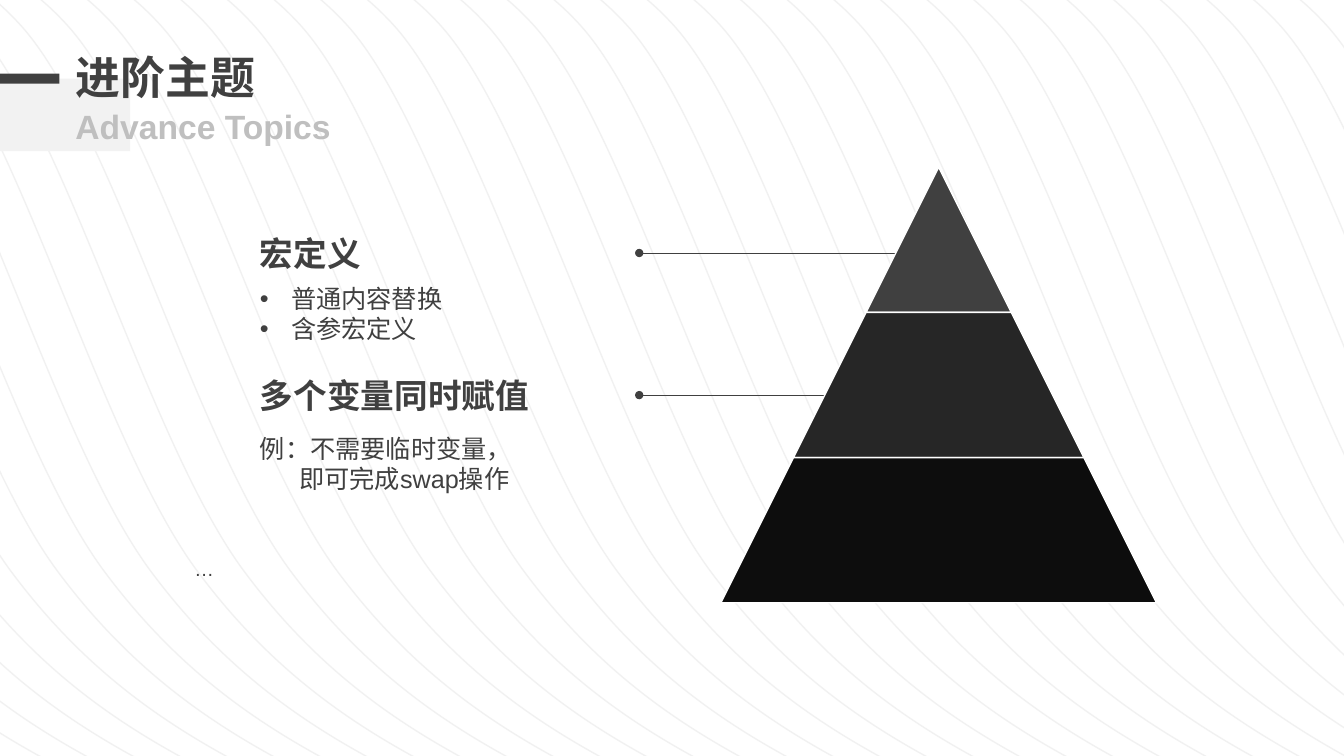
from lxml.etree import SubElement
from pptx import Presentation
from pptx.dml.color import RGBColor
from pptx.enum.shapes import MSO_CONNECTOR, MSO_SHAPE
from pptx.enum.text import MSO_ANCHOR, MSO_AUTO_SIZE, PP_ALIGN
from pptx.oxml.ns import qn
from pptx.util import Inches, Pt

WHITE = RGBColor(0xFF, 0xFF, 0xFF)
DARK = RGBColor(0x40, 0x40, 0x40)
TIER_COLORS = [DARK, RGBColor(0x26, 0x26, 0x26), RGBColor(0x0D, 0x0D, 0x0D)]
PALE = RGBColor(0xF2, 0xF2, 0xF2)
SUBTITLE_GRAY = RGBColor(0xBF, 0xBF, 0xBF)
WAVE_GRAY = RGBColor(0xD9, 0xD9, 0xD9)
FONT = "Arial"

WAVE_COUNT = 40
WAVE_FIRST, WAVE_LAST = -7.2, 10.84
WAVE_CONTROLS = [
    (0, -0.27),
    (0.93, -0.51), (1.86, -0.75), (2.77, 0.24),
    (3.68, 1.23), (4.5, 4.38), (5.46, 5.67),
    (6.42, 6.96), (7.48, 7.47), (8.54, 7.98),
]
APEX_X, APEX_Y = 9.31, 1.66
TIER_HEIGHT, TIER_SPREAD = 1.44, 0.72


def add_outline(shapes, points, closed):
    corners = [(Inches(x), Inches(y)) for x, y in points]
    builder = shapes.build_freeform(*corners[0])
    builder.add_line_segments(corners[1:], close=closed)
    outline = builder.convert_to_shape()
    outline.shadow.inherit = False
    outline.line.width = Pt(1)
    return outline


def bend(outline):
    segments = list(outline.element.iter(qn("a:lnTo")))
    for start in range(0, len(segments), 3):
        first, *others = segments[start:start + 3]
        curve = SubElement(first.getparent(), qn("a:cubicBezTo"))
        for segment in (first, *others):
            curve.append(segment[0])
            segment.getparent().remove(segment)


def add_waves(slide):
    waves = slide.shapes.add_group_shape()
    gap = (WAVE_LAST - WAVE_FIRST) / (WAVE_COUNT - 1)
    for index in range(WAVE_COUNT):
        left = WAVE_FIRST + index * gap
        wave = add_outline(waves.shapes, [(left + x, y) for x, y in WAVE_CONTROLS], False)
        bend(wave)
        wave.fill.background()
        wave.line.color.rgb = WAVE_GRAY
        color = wave.element.spPr.find(".//" + qn("a:srgbClr"))
        SubElement(color, qn("a:alpha"), val="34000")


def add_bar(slide, left, top, width, height, color):
    bar = slide.shapes.add_shape(
        MSO_SHAPE.RECTANGLE, Inches(left), Inches(top), Inches(width), Inches(height))
    bar.shadow.inherit = False
    bar.fill.solid()
    bar.fill.fore_color.rgb = color
    bar.line.fill.background()


def add_leader(slide, y):
    leader = slide.shapes.add_connector(
        MSO_CONNECTOR.STRAIGHT, Inches(6.34), Inches(y), Inches(9.3), Inches(y))
    leader.line.width = Pt(0.5)
    leader.line.color.rgb = DARK
    SubElement(leader.element.spPr.find(qn("a:ln")), qn("a:headEnd"), type="oval")
    SubElement(leader.element.spPr, qn("a:effectLst"))


def add_pyramid(slide):
    pyramid = slide.shapes.add_group_shape()
    for level, color in enumerate(TIER_COLORS):
        top, bottom = (APEX_Y + TIER_HEIGHT * n for n in (level, level + 1))
        upper, lower = (TIER_SPREAD * n for n in (level, level + 1))
        corners = [(APEX_X - lower, bottom), (APEX_X - upper, top),
                   (APEX_X + upper, top), (APEX_X + lower, bottom)]
        tier = add_outline(pyramid.shapes, corners, True)
        tier.fill.solid()
        tier.fill.fore_color.rgb = color
        tier.line.color.rgb = WHITE


def add_run(paragraph, text, size, color=DARK, bold=False):
    run = paragraph.add_run()
    run.text = text
    run.font.name = FONT
    run.font.size = Pt(size)
    run.font.bold = bold
    run.font.color.rgb = color


def indent(paragraph, left, bulleted=False):
    properties = paragraph._p.get_or_add_pPr()
    properties.set("marL", str(Inches(left)))
    if bulleted:
        properties.set("indent", str(-Inches(left)))
        SubElement(properties, qn("a:buFont"), typeface=FONT)
        SubElement(properties, qn("a:buChar"), char="•")


def add_text(slide, left, top, width, height, lines, size, color=DARK, bold=False, wrap=True):
    box = slide.shapes.add_textbox(Inches(left), Inches(top), Inches(width), Inches(height))
    frame = box.text_frame
    frame.word_wrap = wrap
    frame.auto_size = MSO_AUTO_SIZE.SHAPE_TO_FIT_TEXT
    for index, line in enumerate(lines):
        paragraph = frame.add_paragraph() if index else frame.paragraphs[0]
        add_run(paragraph, line, size, color, bold)
    return frame.paragraphs


def format_title(slide, text):
    title = slide.shapes.title
    title.element.getparent().append(title.element)
    title.left, title.top = Inches(0.65), Inches(0.54)
    title.width, title.height = Inches(2), Inches(0.53)
    frame = title.text_frame
    frame.word_wrap = False
    frame.auto_size = MSO_AUTO_SIZE.SHAPE_TO_FIT_TEXT
    frame.vertical_anchor = MSO_ANCHOR.MIDDLE
    paragraph = frame.paragraphs[0]
    paragraph.alignment = PP_ALIGN.LEFT
    paragraph.line_spacing = 0.8
    add_run(paragraph, text, 32, bold=True)


def main():
    presentation = Presentation()
    presentation.slide_width = Inches(13.33)
    presentation.slide_height = Inches(7.5)
    slide = presentation.slides.add_slide(presentation.slide_layouts[5])

    add_waves(slide)
    add_bar(slide, -0.38, 0.78, 1.67, 0.72, PALE)
    add_bar(slide, 0, 0.73, 0.59, 0.1, DARK)
    for y in (2.51, 3.92):
        add_leader(slide, y)
    format_title(slide, "进阶主题")
    add_pyramid(slide)

    macros = add_text(slide, 2.48, 2.76, 4.07, 0.71, ["普通内容替换", "含参宏定义"], 18)
    for paragraph in macros:
        indent(paragraph, 0.31, bulleted=True)
    add_text(slide, 2.48, 2.26, 1.21, 0.5, ["宏定义"], 24, bold=True, wrap=False)
    example = add_text(
        slide, 2.48, 4.25, 4.07, 0.71, ["例：不需要临时变量，", "即可完成swap操作"], 18)
    indent(example[1], 0.39)
    add_text(slide, 2.48, 3.67, 2.89, 0.5, ["多个变量同时赋值"], 24, bold=True, wrap=False)
    add_text(slide, 1.83, 5.48, 4.07, 0.34, ["…"], 14)
    add_text(slide, 0.65, 1, 4.49, 0.5, ["Advance Topics"], 24, SUBTITLE_GRAY, bold=True)

    presentation.save("out.pptx")


if __name__ == "__main__":
    main()
